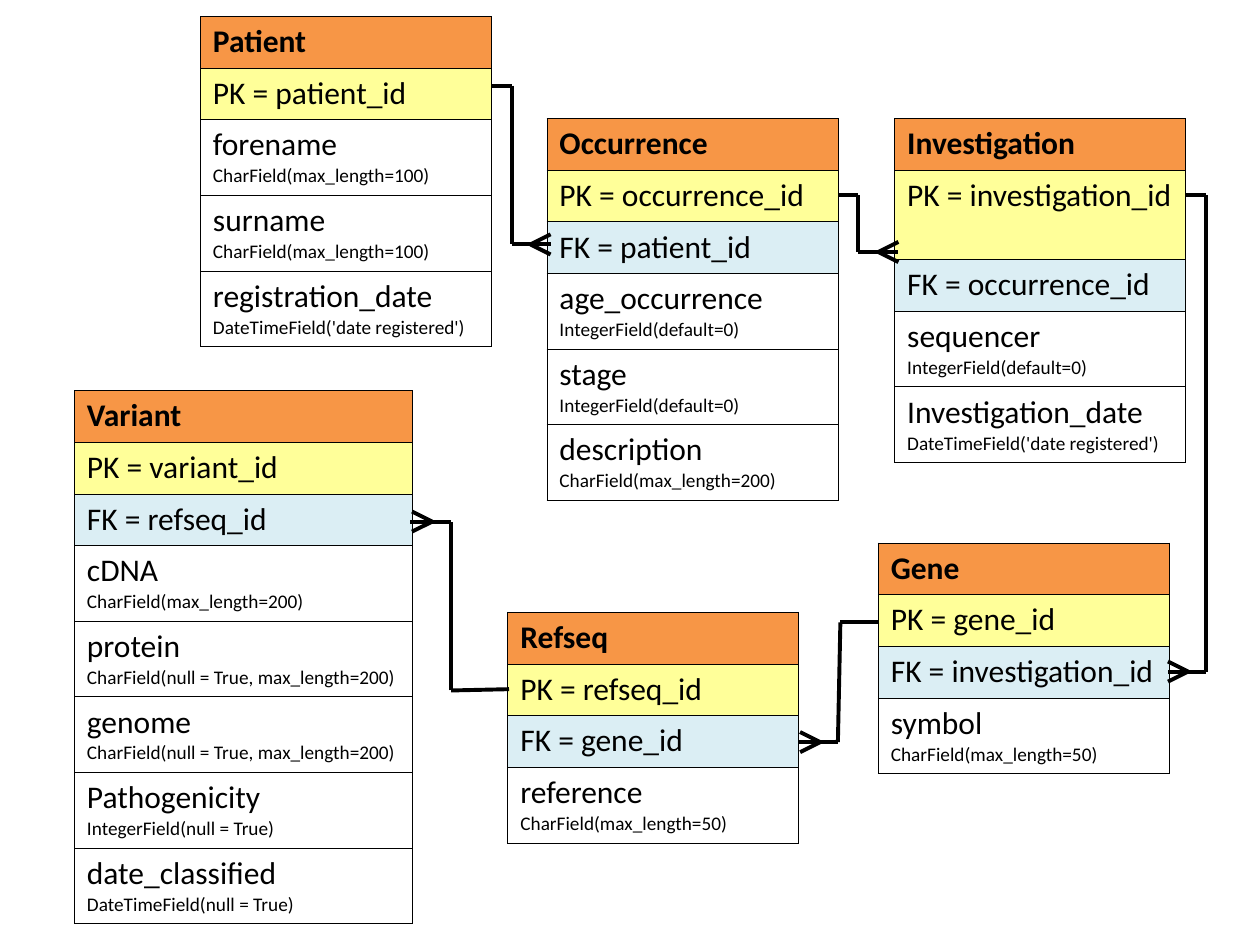
"""Draw an entity-relationship diagram of a patient variant database."""
import dataclasses
import typing

import lxml.etree
import pptx
import pptx.dml.color
import pptx.enum.shapes
import pptx.oxml.ns
import pptx.util

Inches = pptx.util.Inches
RGBColor = pptx.dml.color.RGBColor
Point = typing.Tuple[float, float]

BLACK = RGBColor(0x00, 0x00, 0x00)
ORANGE = RGBColor(0xF7, 0x96, 0x46)
YELLOW = RGBColor(0xFF, 0xFF, 0x99)
PALE_BLUE = RGBColor(0xDB, 0xEE, 0xF4)

KEY_HEIGHT = 0.41
FIELD_HEIGHT = 0.6
FOOT_LENGTH = 0.16
FOOT_SPREAD = 0.08
FONT_FORMAT = {"name": "Calibri", "bold": False}
TABLE_FORMAT = {"first_row": False, "horz_banding": False}


@dataclasses.dataclass(frozen=True)
class Entity:
    name: str
    left: float
    top: float
    primary_key: str
    foreign_key: typing.Optional[str]
    fields: typing.Tuple[typing.Tuple[str, str], ...]
    width: float = 2.31
    primary_height: float = KEY_HEIGHT


@dataclasses.dataclass(frozen=True)
class Relation:
    route: typing.Tuple[Point, ...]
    foot_tip: float


@dataclasses.dataclass(frozen=True)
class Row:
    lines: typing.Tuple[str, ...]
    height: float
    colour: typing.Optional[RGBColor] = None
    bold: bool = False


ENTITIES = (
    Entity("Patient", 1.59, 0.13, "patient_id", None, (
        ("forename", "CharField(max_length=100)"),
        ("surname", "CharField(max_length=100)"),
        ("registration_date", "DateTimeField('date registered')"),
    )),
    Entity("Occurrence", 4.34, 0.94, "occurrence_id", "patient_id", (
        ("age_occurrence", "IntegerField(default=0)"),
        ("stage", "IntegerField(default=0)"),
        ("description", "CharField(max_length=200)"),
    )),
    Entity("Investigation", 7.1, 0.94, "investigation_id", "occurrence_id", (
        ("sequencer", "IntegerField(default=0)"),
        ("Investigation_date", "DateTimeField('date registered')"),
    ), primary_height=0.71),
    Entity("Gene", 6.97, 4.31, "gene_id", "investigation_id", (
        ("symbol", "CharField(max_length=50)"),
    )),
    Entity("Refseq", 4.03, 4.86, "refseq_id", "gene_id", (
        ("reference", "CharField(max_length=50)"),
    )),
    Entity("Variant", 0.59, 3.1, "variant_id", "refseq_id", (
        ("cDNA", "CharField(max_length=200)"),
        ("protein", "CharField(null = True, max_length=200)"),
        ("genome", "CharField(null = True, max_length=200)"),
        ("Pathogenicity", "IntegerField(null = True)"),
        ("date_classified", "DateTimeField(null = True)"),
    ), width=2.68),
)

RELATIONS = (
    Relation(((3.9, 0.68), (4.06, 0.68), (4.06, 1.94), (4.37, 1.94)), 4.37),
    Relation(((6.65, 1.55), (6.81, 1.55), (6.81, 2.0), (7.13, 2.0)), 7.13),
    Relation(((9.41, 1.55), (9.57, 1.55), (9.57, 5.33), (9.27, 5.33)), 9.27),
    Relation(((6.98, 4.94), (6.67, 4.94), (6.65, 5.89), (6.34, 5.89)), 6.35),
    Relation(((4.04, 5.47), (3.58, 5.48), (3.58, 4.14), (3.25, 4.14)), 3.27),
)


def entity_rows(entity: Entity) -> typing.List[Row]:
    rows = [
        Row((entity.name,), KEY_HEIGHT, ORANGE, True),
        Row((f"PK = {entity.primary_key}",), entity.primary_height, YELLOW),
    ]
    if entity.foreign_key:
        rows.append(Row((f"FK = {entity.foreign_key}",), KEY_HEIGHT, PALE_BLUE))
    return rows + [Row(field, FIELD_HEIGHT) for field in entity.fields]


def add_borders(cell) -> None:
    properties = cell._tc.get_or_add_tcPr()
    qn = pptx.oxml.ns.qn
    for position, side in enumerate(("lnL", "lnR", "lnT", "lnB")):
        border = lxml.etree.Element(qn(f"a:{side}"), w=str(pptx.util.Pt(0.45)))
        fill = lxml.etree.SubElement(border, qn("a:solidFill"))
        lxml.etree.SubElement(fill, qn("a:srgbClr"), val=str(BLACK))
        properties.insert(position, border)


def fill_cell(cell, row: Row) -> None:
    if row.colour is None:
        cell.fill.background()
    else:
        cell.fill.solid()
        cell.fill.fore_color.rgb = row.colour
    add_borders(cell)
    for index, (line, size) in enumerate(zip(row.lines, (18, 11))):
        frame = cell.text_frame
        paragraph = frame.add_paragraph() if index else frame.paragraphs[0]
        run = paragraph.add_run()
        run.text = line
        font_format = {**FONT_FORMAT, "size": pptx.util.Pt(size), "bold": row.bold}
        for attribute, value in font_format.items():
            setattr(run.font, attribute, value)
        run.font.color.rgb = BLACK


def add_entity(slide, entity: Entity) -> None:
    rows = entity_rows(entity)
    height = sum(row.height for row in rows)
    table = slide.shapes.add_table(
        len(rows), 1, Inches(entity.left), Inches(entity.top),
        Inches(entity.width), Inches(height)).table
    for attribute, value in TABLE_FORMAT.items():
        setattr(table, attribute, value)
    for index, row in enumerate(rows):
        table.rows[index].height = Inches(row.height)
        fill_cell(table.cell(index, 0), row)


def add_line(shapes, start: Point, end: Point) -> None:
    connector = shapes.add_connector(
        pptx.enum.shapes.MSO_CONNECTOR.STRAIGHT,
        *(Inches(length) for length in start + end))
    connector.line.color.rgb = BLACK
    connector.line.width = pptx.util.Pt(2.25)
    lxml.etree.SubElement(
        connector._element.spPr, pptx.oxml.ns.qn("a:effectLst"))


def add_relation(slide, relation: Relation) -> None:
    shapes = slide.shapes.add_group_shape().shapes
    for start, end in zip(relation.route, relation.route[1:]):
        add_line(shapes, start, end)
    corner_x, foot_y = relation.route[-2]
    foot_y = relation.route[-1][1]
    direction = 1 if relation.foot_tip > corner_x else -1
    apex = (relation.foot_tip - direction * FOOT_LENGTH, foot_y)
    for spread in (-FOOT_SPREAD, FOOT_SPREAD):
        add_line(shapes, apex, (relation.foot_tip, foot_y + spread))


def main() -> None:
    presentation = pptx.Presentation()
    presentation.slide_width = Inches(10)
    presentation.slide_height = Inches(7.5)
    slide = presentation.slides.add_slide(presentation.slide_layouts[6])
    for entity in ENTITIES:
        add_entity(slide, entity)
    for relation in RELATIONS:
        add_relation(slide, relation)
    presentation.save("out.pptx")


if __name__ == "__main__":
    main()
